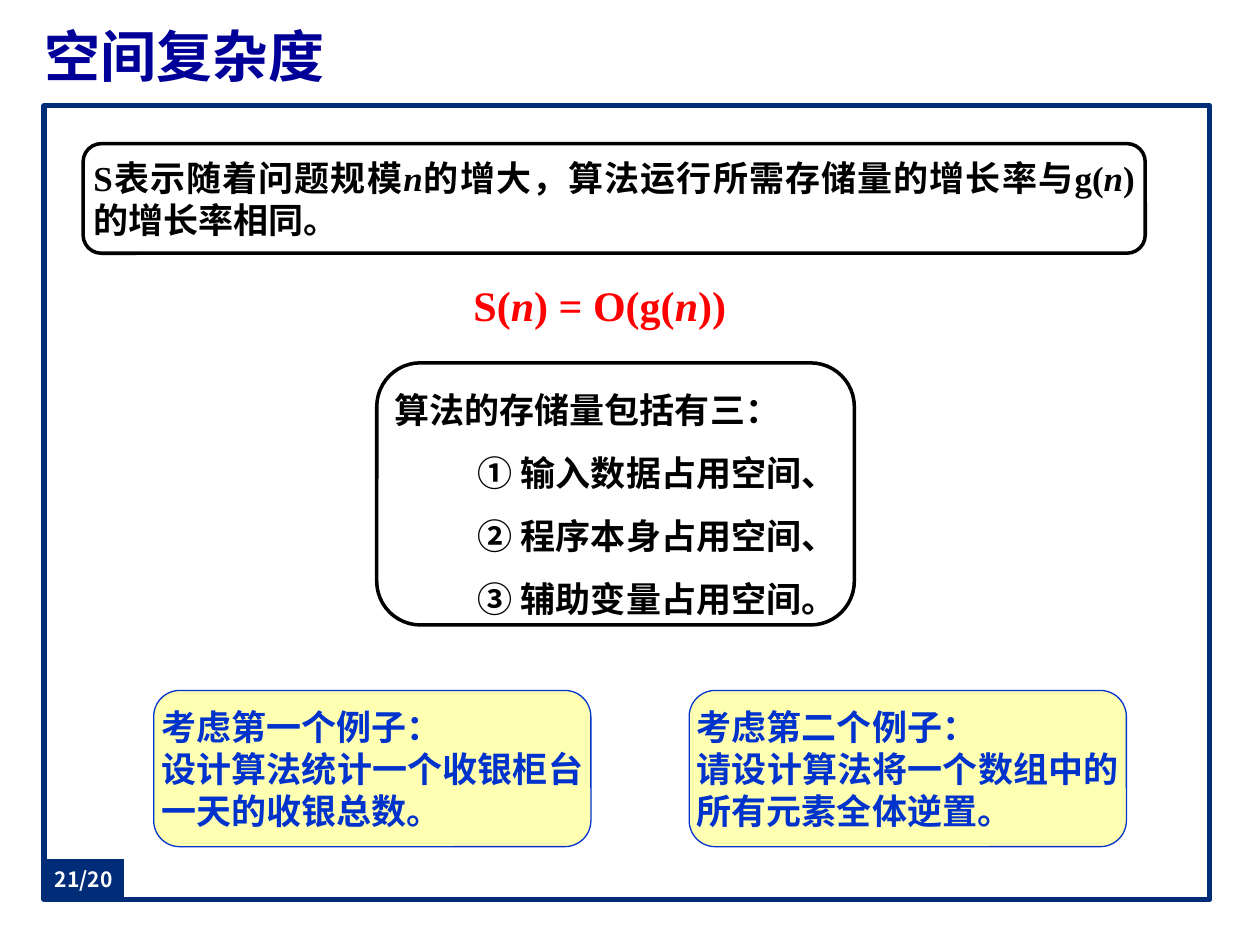
from lxml import etree
from pptx import Presentation
from pptx.dml.color import RGBColor
from pptx.enum import shapes, text
from pptx.oxml.ns import qn
from pptx.util import Inches, Pt

SERIF, CJK = "Times New Roman", "Noto Sans CJK SC"
NAVY, BLACK, BLUE = "012D78", "000000", "0033CC"
RECT, ROUND = shapes.MSO_SHAPE.RECTANGLE, shapes.MSO_SHAPE.ROUNDED_RECTANGLE
LEFT, CENTER = text.PP_ALIGN.LEFT, text.PP_ALIGN.CENTER
RIGHT, JUSTIFY = text.PP_ALIGN.RIGHT, text.PP_ALIGN.JUSTIFY

# A paragraph is a list of runs; every second run is italic.
TITLE = [["空间复杂度"]]
PAGE = [["21/20"]]
FORMULA = [["S(", "n", ") = O(g(", "n", "))"]]
DEFINITION = [["S表示随着问题规模", "n", "的增大，算法运行所需存储量的增长率与g(", "n",
               ") 的增长率相同。"]]
STORAGE = [["算法的存储量包括有三："], ["① 输入数据占用空间、"],
           ["② 程序本身占用空间、"], ["③ 辅助变量占用空间。"]]
EXAMPLES = [
    [["考虑第一个例子："], ["设计算法统计一个收银柜台一天的收银总数。"]],
    [["考虑第二个例子："], ["请设计算法将一个数组中的所有元素全体逆置。"]],
]


def rgb(value):
    return RGBColor.from_string(value)


def write(sp, paragraphs, size, color, aligns, font=SERIF, inset=0, spacing=None, wrap=True):
    """Fill a shape with text; the last of aligns serves all further paragraphs."""
    tf = sp.text_frame
    tf.word_wrap = wrap
    tf.vertical_anchor = text.MSO_ANCHOR.MIDDLE
    tf.margin_left = tf.margin_right = Inches(inset)
    tf.margin_top = tf.margin_bottom = 0
    for i, runs in enumerate(paragraphs):
        p = tf.add_paragraph() if i else tf.paragraphs[0]
        p.alignment = aligns[min(i, len(aligns) - 1)]
        p.line_spacing = spacing
        for j, part in enumerate(runs):
            r = p.add_run()
            r.text = part
            f = r.font
            f.name, f.size, f.bold, f.italic = font, Pt(size), True, j % 2 == 1
            f.color.rgb = rgb(color)
            ea = etree.SubElement(r._r.get_or_add_rPr(), qn("a:ea"))
            ea.set("typeface", CJK)


def add_box(slide, kind, at, fill, line, width, alpha=None):
    sp = slide.shapes.add_shape(kind, *map(Inches, at))
    sp.shadow.inherit = False
    sp.fill.solid()
    sp.fill.fore_color.rgb = rgb(fill)
    if alpha is not None:
        clr = sp.fill._xPr.find(".//" + qn("a:srgbClr"))
        etree.SubElement(clr, qn("a:alpha")).set("val", str(alpha * 1000))
    sp.line.color.rgb = rgb(line)
    sp.line.width = Pt(width)
    return sp


def add_label(slide, at):
    return slide.shapes.add_textbox(*map(Inches, at))


def main():
    prs = Presentation()
    prs.slide_width, prs.slide_height = Inches(10), Inches(7.5)
    slide = prs.slides.add_slide(prs.slide_layouts[6])

    add_box(slide, RECT, (0.35, 0.84, 9.25, 6.3), "FFFFFF", NAVY, 3)
    title = add_label(slide, (0.35, 0.13, 9.25, 0.62))
    write(title, TITLE, 32, "000099", [JUSTIFY])
    page = add_box(slide, RECT, (0.35, 6.82, 0.63, 0.31), NAVY, "032C75", 0.75)
    write(page, PAGE, 12, "FFFFFF", [CENTER], font=CJK)

    formula = add_label(slide, (3.66, 2.17, 2.23, 0.5))
    write(formula, FORMULA, 24, "FF0000", [LEFT], inset=0.1, wrap=False)
    definition = add_box(slide, ROUND, (0.66, 1.14, 8.43, 0.87), "FFFFFF", BLACK, 2)
    write(definition, DEFINITION, 20, BLACK, [JUSTIFY], inset=0.04)

    for i, example in enumerate(EXAMPLES):
        at = (1.22 + 4.25 * i, 5.48, 3.47, 1.24)
        card = add_box(slide, ROUND, at, "FFFF66", BLUE, 0.75, alpha=50)
        write(card, example, 20, BLUE, [JUSTIFY])

    storage = add_box(slide, ROUND, (2.99, 2.88, 3.79, 2.08), "FFFFFF", BLACK, 2)
    write(storage, STORAGE, 20, BLACK, [JUSTIFY, RIGHT], inset=0.04, spacing=1.5)

    prs.save("out.pptx")


if __name__ == "__main__":
    main()
